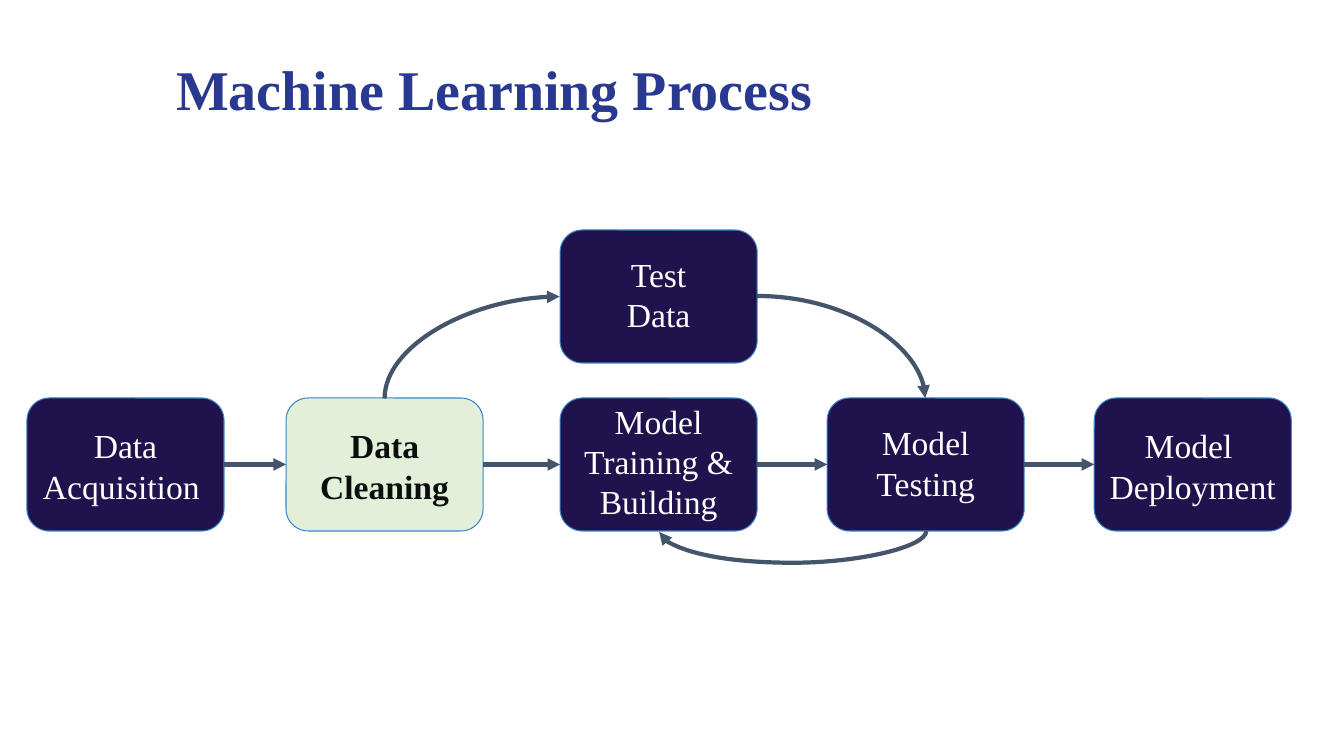
from pptx import Presentation
from pptx.dml.color import RGBColor
from pptx.enum.shapes import MSO_CONNECTOR, MSO_SHAPE
from pptx.enum.text import MSO_ANCHOR, PP_ALIGN
from pptx.oxml.ns import qn
from pptx.util import Inches, Pt
from lxml.etree import SubElement

SCALE = 914400 / 100.8
WIDE, HIGH = 197, 133
NAVY, GREEN, EDGE, SLATE = "20124D", "E2F0D9", "3D85C6", "44546A"


def px(n):
    return round(n * SCALE)


def color(code):
    return RGBColor.from_string(code)


deck = Presentation()
deck.slide_width = Inches(13.33)
deck.slide_height = Inches(7.5)
slide = deck.slides.add_slide(deck.slide_layouts[6])
shapes = slide.shapes

title = shapes.add_textbox(px(163), px(42), px(1150), px(90))
frame = title.text_frame
frame.word_wrap = True
frame.margin_left = frame.margin_right = px(13)
frame.margin_top = frame.margin_bottom = px(13)
run = frame.paragraphs[0].add_run()
run.text = "Machine Learning Process"
run.font.name = "Times New Roman"
run.font.size = Pt(40)
run.font.bold = True
run.font.color.rgb = color("2A3990")

steps = [
    ("gather", 27, 398, 2, 0, ["Data", "Acquisition "]),
    ("clean", 286, 398, 2, 0, ["Data", "Cleaning"]),
    ("train", 560, 398, 0, 7, ["Model", "Training &", "Building"]),
    ("test", 827, 398, 0, 4, ["Model", "Testing"]),
    ("deploy", 1094, 398, 2, 0, ["Model ", "Deployment"]),
    ("data", 560, 230, 0, 5, ["Test", "Data"]),
]
boxes = {}
for name, left, top, above, below, lines in steps:
    focus = name == "clean"
    box = shapes.add_shape(MSO_SHAPE.ROUNDED_RECTANGLE, px(left), px(top), px(WIDE), px(HIGH))
    box.shadow.inherit = False
    box.fill.solid()
    box.fill.fore_color.rgb = color(GREEN if focus else NAVY)
    box.line.color.rgb = color(EDGE)
    box.line.width = Pt(0.75)
    frame = box.text_frame
    frame.word_wrap = True
    frame.vertical_anchor = MSO_ANCHOR.MIDDLE
    frame.margin_left = frame.margin_right = 0
    frame.margin_top, frame.margin_bottom = px(above), px(below)
    for i, line in enumerate(lines):
        para = frame.add_paragraph() if i else frame.paragraphs[0]
        para.alignment = PP_ALIGN.CENTER
        run = para.add_run()
        run.text = line
        run.font.name = "Times New Roman"
        run.font.size = Pt(24)
        run.font.bold = focus
        run.font.color.rgb = color("0D0D0D" if focus else "FFFFFF")
    boxes[name] = box

links = [
    ("gather", 3, "clean", 1, None),
    ("clean", 3, "train", 1, None),
    ("train", 3, "test", 1, None),
    ("test", 3, "deploy", 1, None),
    ("test", 2, "train", 2, ("curvedConnector3", 792, 398, 1, 267, 90)),
    ("clean", 0, "data", 1, ("curvedConnector2", 421, 260, 102, 175, 270)),
    ("data", 3, "test", 0, ("curvedConnector2", 757, 296, 168, 102, 0)),
]
for start, out, end, into, curve in links:
    kind = MSO_CONNECTOR.CURVE if curve else MSO_CONNECTOR.STRAIGHT
    link = shapes.add_connector(kind, 0, 0, 0, 0)
    link.begin_connect(boxes[start], out)
    link.end_connect(boxes[end], into)
    link.line.color.rgb = color(SLATE)
    link.line.width = Pt(3)
    props = link._element.spPr
    SubElement(props.find(qn("a:ln")), qn("a:tailEnd"), type="triangle")
    SubElement(props, qn("a:effectLst"))
    if curve:
        preset, left, top, width, height, turn = curve
        frame = props.find(qn("a:xfrm"))
        frame.attrib.clear()
        frame.set("rot", str(turn * 60000))
        link.left, link.top = px(left), px(top)
        link.width, link.height = px(width), px(height)
        shape = props.find(qn("a:prstGeom"))
        shape.set("prst", preset)
        if preset == "curvedConnector3":
            guides = shape.find(qn("a:avLst"))
            SubElement(guides, qn("a:gd"), name="adj1", fmla="val 3200000")

deck.save("out.pptx")
